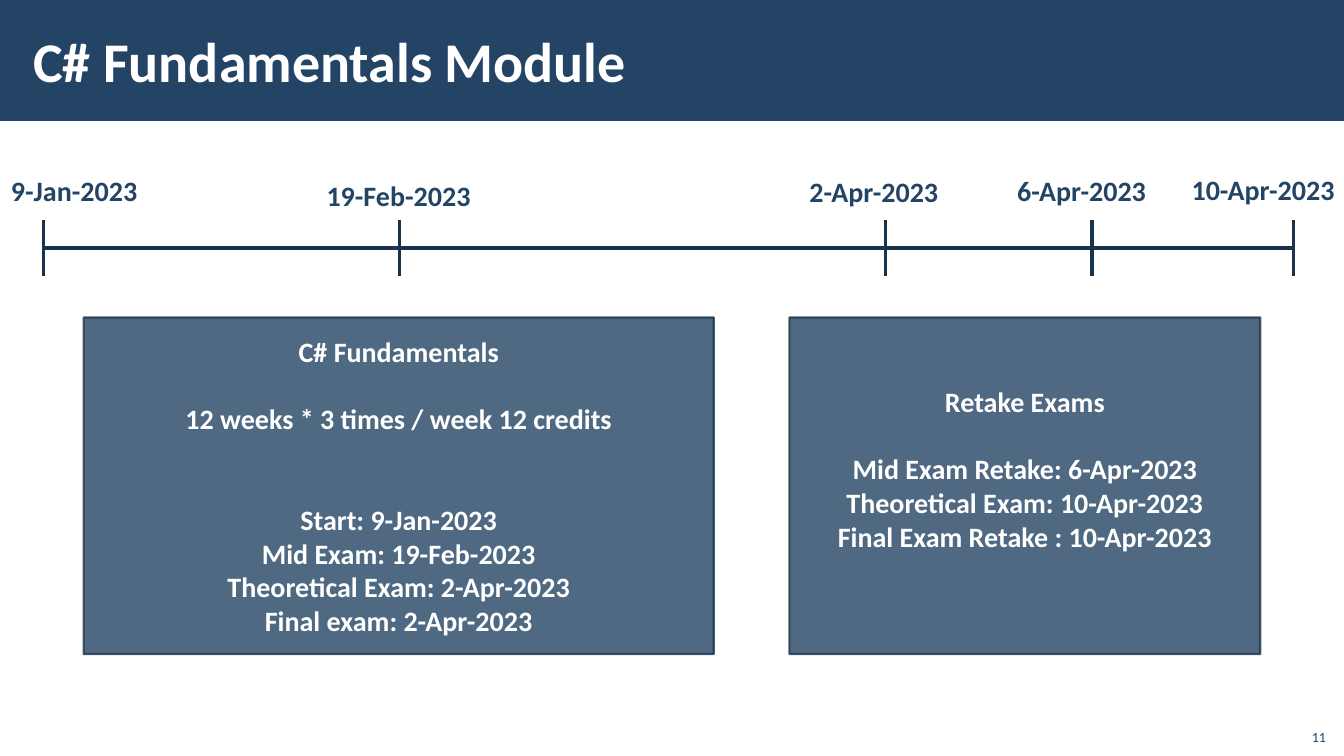
from pptx import Presentation
from pptx.dml.color import RGBColor
from pptx.enum.shapes import MSO_CONNECTOR, MSO_SHAPE
from pptx.enum.text import MSO_ANCHOR, PP_ALIGN
from pptx.oxml.ns import qn
from pptx.util import Inches, Pt
from lxml.etree import SubElement

NAVY, DARK, WHITE = "234465", "1A334C", "FFFFFF"


def rgb(value):
    return RGBColor.from_string(value)


class Deck:
    """Holds the style and the current slide."""

    font = "Calibri"

    def __init__(self, prs):
        self.s = prs.slides.add_slide(prs.slide_layouts[6])

    def paragraph(self, p, text, size, color, bold, align):
        p.text = text
        p.alignment = align
        p.font.name = self.font
        p.font.size = Pt(size)
        p.font.bold = bold
        p.font.color.rgb = rgb(color)

    def text(self, x, y, w, h, text, size=20, color=NAVY, bold=True,
             align=PP_ALIGN.LEFT, anchor=MSO_ANCHOR.TOP, inset=0.1):
        sp = self.s.shapes.add_textbox(Inches(x), Inches(y), Inches(w), Inches(h))
        tf = sp.text_frame
        tf.word_wrap = True
        tf.vertical_anchor = anchor
        tf.margin_left = tf.margin_right = Inches(inset)
        self.paragraph(tf.paragraphs[0], text, size, color, bold, align)

    def rect(self, x, y, w, h, color):
        sp = self.s.shapes.add_shape(MSO_SHAPE.RECTANGLE, Inches(x), Inches(y),
                                     Inches(w), Inches(h))
        sp.shadow.inherit = False
        sp.fill.solid()
        sp.fill.fore_color.rgb = rgb(color)
        sp.line.fill.background()
        return sp

    def line(self, x1, y1, x2, y2):
        c = self.s.shapes.add_connector(MSO_CONNECTOR.STRAIGHT, Inches(x1), Inches(y1),
                                        Inches(x2), Inches(y2))
        c.line.color.rgb = rgb(DARK)
        c.line.width = Pt(2.25)
        SubElement(c._element.spPr, qn("a:effectLst"))

    def panel(self, x, w, lines, bottom=0.05):
        """Translucent box; each line is (text, space before in points)."""
        sp = self.rect(x, 3.15, w, 3.34, NAVY)
        sp.line.color.rgb = rgb(DARK)
        sp.line.width = Pt(1.5)
        for clr in sp._element.spPr.iter(qn("a:srgbClr")):
            SubElement(clr, qn("a:alpha")).set("val", "80000")
        tf = sp.text_frame
        tf.word_wrap = True
        tf.vertical_anchor = MSO_ANCHOR.MIDDLE
        tf.margin_bottom = Inches(bottom)
        for i, (text, gap) in enumerate(lines):
            p = tf.add_paragraph() if i else tf.paragraphs[0]
            self.paragraph(p, text, 20, WHITE, True, PP_ALIGN.CENTER)
            p.space_before = Pt(gap)


def main():
    prs = Presentation()
    prs.slide_width, prs.slide_height = Inches(13.33), Inches(7.5)
    deck = Deck(prs)

    # Title bar
    deck.rect(0, 0, 13.33, 1.2, NAVY)
    deck.text(0.21, 0.11, 10.63, 0.97, "C# Fundamentals Module", size=40,
              color=WHITE, anchor=MSO_ANCHOR.MIDDLE, inset=0.12)

    # Timeline: tick position, label left and top, date
    dates = [
        (0.43, 0.01, 1.67, "9-Jan-2023"),
        (3.96, 3.14, 1.72, "19-Feb-2023"),
        (8.78, 7.93, 1.68, "2-Apr-2023"),
        (10.83, 9.99, 1.67, "6-Apr-2023"),
        (12.83, 11.72, 1.66, "10-Apr-2023"),
    ]
    axis = 2.46
    deck.line(dates[0][0], axis, dates[-1][0], axis)
    for tick, left, top, date in dates:
        deck.line(tick, axis - 0.28, tick, axis + 0.28)
        deck.text(left, top, 1.65, 0.44, date)

    # Course and retake panels
    deck.panel(0.83, 6.25, [
        ("C# Fundamentals", 0),
        ("12 weeks * 3 times / week 12 credits", 24),
        ("Start: 9-Jan-2023", 48),
        ("Mid Exam: 19-Feb-2023", 0),
        ("Theoretical Exam: 2-Apr-2023", 0),
        ("Final exam: 2-Apr-2023", 0),
    ])
    deck.panel(7.83, 4.67, [
        ("Retake Exams", 0),
        ("Mid Exam Retake: 6-Apr-2023", 24),
        ("Тheoretical Exam: 10-Apr-2023", 0),
        ("Final Exam Retake : 10-Apr-2023", 0),
    ], bottom=0.39)

    # Slide number
    deck.text(12.85, 7.12, 0.4, 0.32, "11", size=10, bold=False,
              align=PP_ALIGN.RIGHT, anchor=MSO_ANCHOR.BOTTOM)

    prs.save("out.pptx")


if __name__ == "__main__":
    main()
